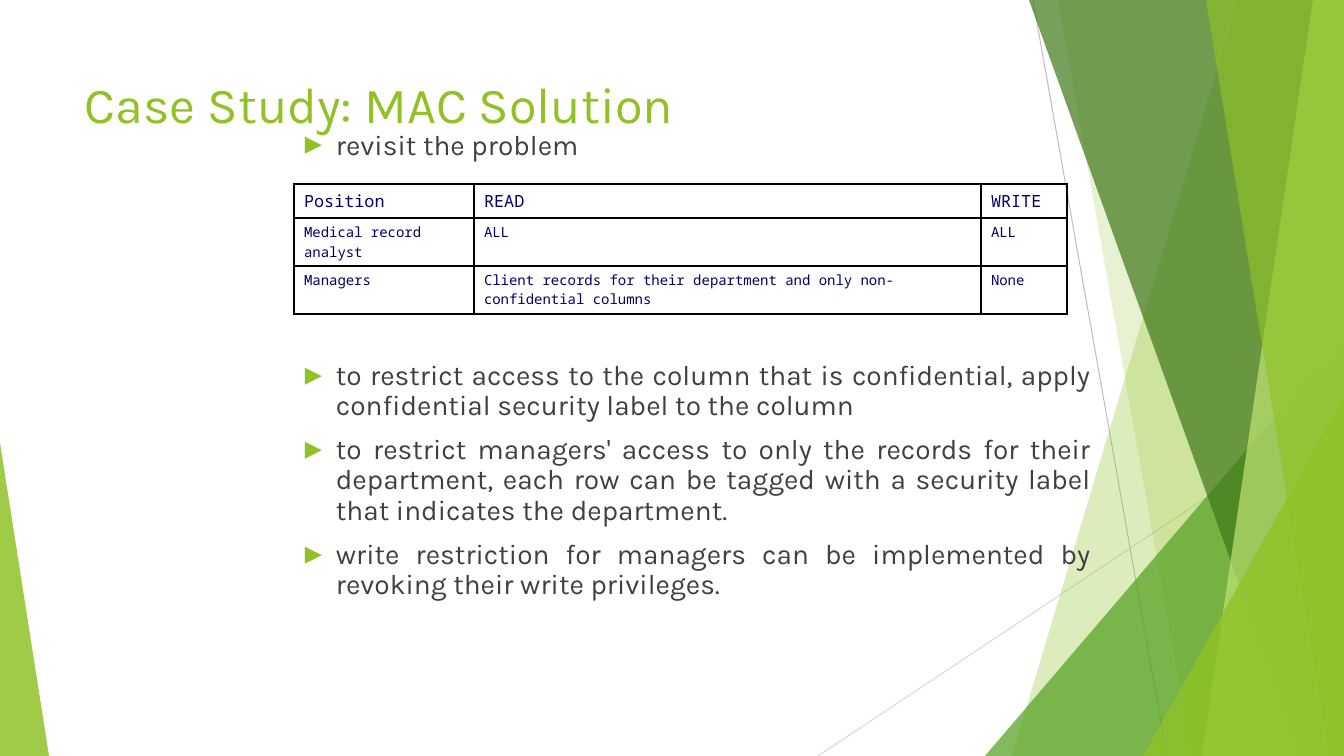
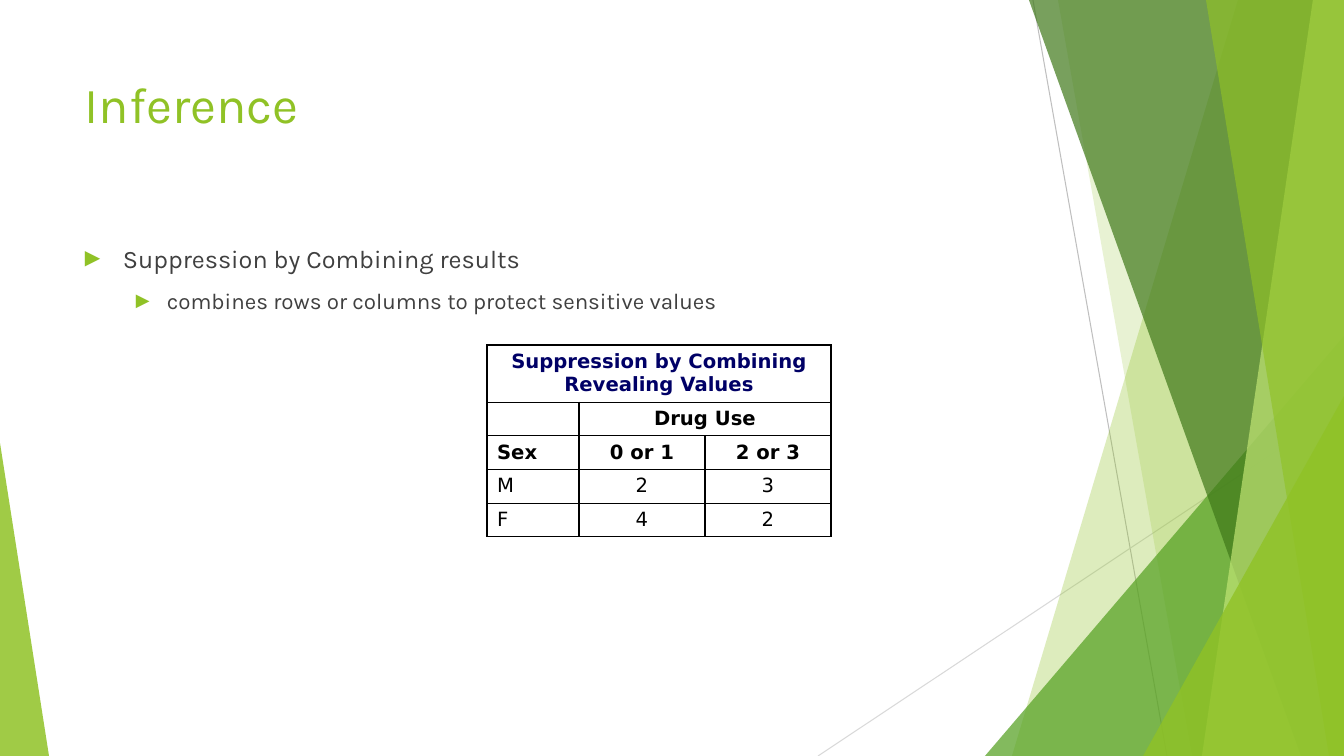
from lxml import etree
from pptx import Presentation
from pptx import util as u
from pptx.dml.color import RGBColor
from pptx.enum import shapes, text
from pptx.oxml.ns import qn

W, H = 1344, 756
SCALE = 12192000 / W
GREEN, MID, DARK, PALE = "90C226", "54A021", "3F7819", "C0E474"
BODY, NAVY, BLACK = "404040", "000066", "000000"
FONT, MONO, SANS = "Karla", "Noto Sans Mono", "DejaVu Sans"
LEFT, CENTER, JUSTIFY = (text.PP_ALIGN.LEFT, text.PP_ALIGN.CENTER,
                         text.PP_ALIGN.JUSTIFY)
# Bullet levels: left margin and hanging indent
INDENTS = [(38, 38), (82, 31)]


def px(n):
    return u.Emu(round(n * SCALE))


def box_emu(box):
    return [px(n) for n in box]


def color(value):
    return RGBColor.from_string(value)


def sub(parent, tag, **attrs):
    el = etree.SubElement(parent, qn(tag))
    for key, value in attrs.items():
        el.set(key, str(value))
    return el


def add_run(p, words, size, font, fill, bold=False):
    r = p.add_run()
    r.text = words
    r.font.size, r.font.name, r.font.bold = u.Pt(size), font, bold
    r.font.color.rgb = color(fill)


def paint(sp, fill, alpha):
    sp.shadow.inherit = False
    sp.fill.solid()
    sp.fill.fore_color.rgb = color(fill)
    clr = sp._element.spPr.find(".//" + qn("a:srgbClr"))
    sub(clr, "a:alpha", val=alpha * 1000)
    sp.line.fill.background()


# Background facets
def add_line(slide, start, end, stroke):
    line = slide.shapes.add_connector(shapes.MSO_CONNECTOR.STRAIGHT,
                                      *box_emu(start + end))
    line.line.color.rgb = color(stroke)
    line.line.width = u.Pt(0.75)
    sub(line._element.spPr, "a:effectLst")


def add_band(slide, top_x, bottom_x, fill, alpha):
    """Band from a slanted left edge to the right side of the slide."""
    fb = slide.shapes.build_freeform(top_x, 0, scale=SCALE)
    fb.add_line_segments([(W, 0), (W, H), (bottom_x, H)], close=True)
    paint(fb.convert_to_shape(), fill, alpha)


def add_corner(slide, x, y, width, apex, fill, alpha):
    """Right triangle standing on the bottom of the slide."""
    sp = slide.shapes.add_shape(shapes.MSO_SHAPE.ISOSCELES_TRIANGLE,
                                *box_emu((x, y, width, H - y)))
    sp.adjustments[0] = apex
    paint(sp, fill, alpha)


def add_facets(slide):
    add_line(slide, (1033, 0), (1167, H), "BFBFBF")
    add_line(slide, (W, 406), (818, H), "D9D9D9")
    add_band(slide, 1238, 1012, GREEN, 30)
    add_band(slide, 1058, 1192, GREEN, 20)
    add_corner(slide, 985, 336, 359, 1, MID, 72)
    add_band(slide, 1029, 1301, DARK, 70)
    add_band(slide, 1313, 1202, PALE, 70)
    add_band(slide, 1206, 1329, GREEN, 65)
    add_corner(slide, 1143, 396, 201, 1, GREEN, 80)
    add_corner(slide, 0, 443, 49, 0, GREEN, 85)


# Text regions
def add_text_frame(slide, box):
    tf = slide.shapes.add_textbox(*box_emu(box)).text_frame
    tf.word_wrap = True
    return tf


def add_title(slide, title, box=(75, 68, 948, 145)):
    tf = add_text_frame(slide, box)
    add_run(tf.paragraphs[0], title, 36, FONT, GREEN)


def add_bullets(slide, box, items, align=LEFT, spacing=1.0):
    """Each item is (level, size, words)."""
    tf = add_text_frame(slide, box)
    for i, (level, size, words) in enumerate(items):
        p = tf.add_paragraph() if i else tf.paragraphs[0]
        margin, hang = INDENTS[level]
        pPr = p._p.get_or_add_pPr()
        pPr.set("marL", str(px(margin)))
        pPr.set("indent", str(px(-hang)))
        sub(sub(pPr, "a:buClr"), "a:srgbClr", val=GREEN)
        sub(pPr, "a:buSzPct", val=80000)
        sub(pPr, "a:buFont", typeface=SANS)
        sub(pPr, "a:buChar", char="▶")
        p.level, p.alignment, p.line_spacing = level, align, spacing
        if i:
            p.space_before = u.Pt(10)
        add_run(p, words, size, FONT, BODY)


# Tables
def set_borders(cell, widths):
    """Widths in points, in the order left, right, top, bottom."""
    tcPr = cell._tc.get_or_add_tcPr()
    for side, width in zip("LRTB", widths):
        ln = sub(tcPr, "a:ln" + side, w=u.Pt(width))
        sub(sub(ln, "a:solidFill"), "a:srgbClr", val=BLACK)


def add_grid(slide, origin, cols, rows, values, style, outer=1, merges=()):
    """style(row, col) gives size, font, colour, bold and alignment."""
    box = (*origin, sum(cols), sum(rows))
    table = slide.shapes.add_table(len(rows), len(cols), *box_emu(box)).table
    table.first_row = table.horz_banding = False
    for col, width in zip(table.columns, cols):
        col.width = px(width)
    for row, height in zip(table.rows, rows):
        row.height = px(height)
    for i, line in enumerate(values):
        for j, words in enumerate(line):
            cell = table.cell(i, j)
            edges = (j == 0, j == len(cols) - 1, i == 0, i == len(rows) - 1)
            set_borders(cell, [outer if edge else 1 for edge in edges])
            cell.fill.background()
            p = cell.text_frame.paragraphs[0]
            size, font, fill, bold, p.alignment = style(i, j)
            if words:
                add_run(p, words, size, font, fill, bold)
            else:
                sub(p._p, "a:endParaRPr", sz=size * 100)
    for first, last in merges:
        table.cell(*first).merge(table.cell(*last))
    return table


def access_style(i, j):
    return 10 if i else 12, MONO, NAVY, False, LEFT


def drug_style(i, j):
    align = LEFT if i and j == 0 else CENTER
    return 14, SANS, BLACK if i else NAVY, i < 3, align


# Slides
def new_slide(prs, title):
    slide = prs.slides.add_slide(prs.slide_layouts[6])
    add_facets(slide)
    add_title(slide, title)
    return slide


def mac_slide(prs):
    slide = new_slide(prs, "Case Study: MAC Solution")
    add_bullets(slide, (244, 126, 857, 50), [(1, 20, "revisit the problem")],
                JUSTIFY, 0.9)
    add_bullets(slide, (244, 356, 857, 316), [
        (1, 20, "to restrict access to the column that is confidential, "
                "apply confidential security label to the column"),
        (1, 20, "to restrict managers' access to only the records for their "
                "department, each row can be tagged with a security label "
                "that indicates the department."),
        (1, 20, "write restriction for managers can be implemented by "
                "revoking their write privileges."),
    ], JUSTIFY, 0.9)
    add_grid(slide, (294, 184), [180, 507, 86], [34, 48, 48], [
        ["Position", "READ", "WRITE"],
        ["Medical record analyst", "ALL", "ALL"],
        ["Managers", "Client records for their department and only "
                     "non-confidential columns", "None"],
    ], access_style, outer=2.25)


def inference_slide(prs):
    slide = new_slide(prs, "Inference")
    add_bullets(slide, (75, 238, 948, 427), [
        (0, 18, "Suppression by Combining results"),
        (1, 16, "combines rows or columns to protect sensitive values"),
    ])
    table = add_grid(slide, (487, 345), [92, 126, 126], [56] + [33] * 4, [
        ["Suppression by Combining Revealing Values", "", ""],
        ["", "Drug Use", ""],
        ["Sex", "0 or 1", "2 or 3"],
        ["M", "2", "3"],
        ["F", "4", "2"],
    ], drug_style, merges=[((0, 0), (0, 2)), ((1, 1), (1, 2))])
    table.cell(0, 0).vertical_anchor = text.MSO_ANCHOR.MIDDLE


def main():
    prs = Presentation()
    prs.slide_width, prs.slide_height = px(W), px(H)
    mac_slide(prs)
    inference_slide(prs)
    prs.save("out.pptx")


if __name__ == "__main__":
    main()
